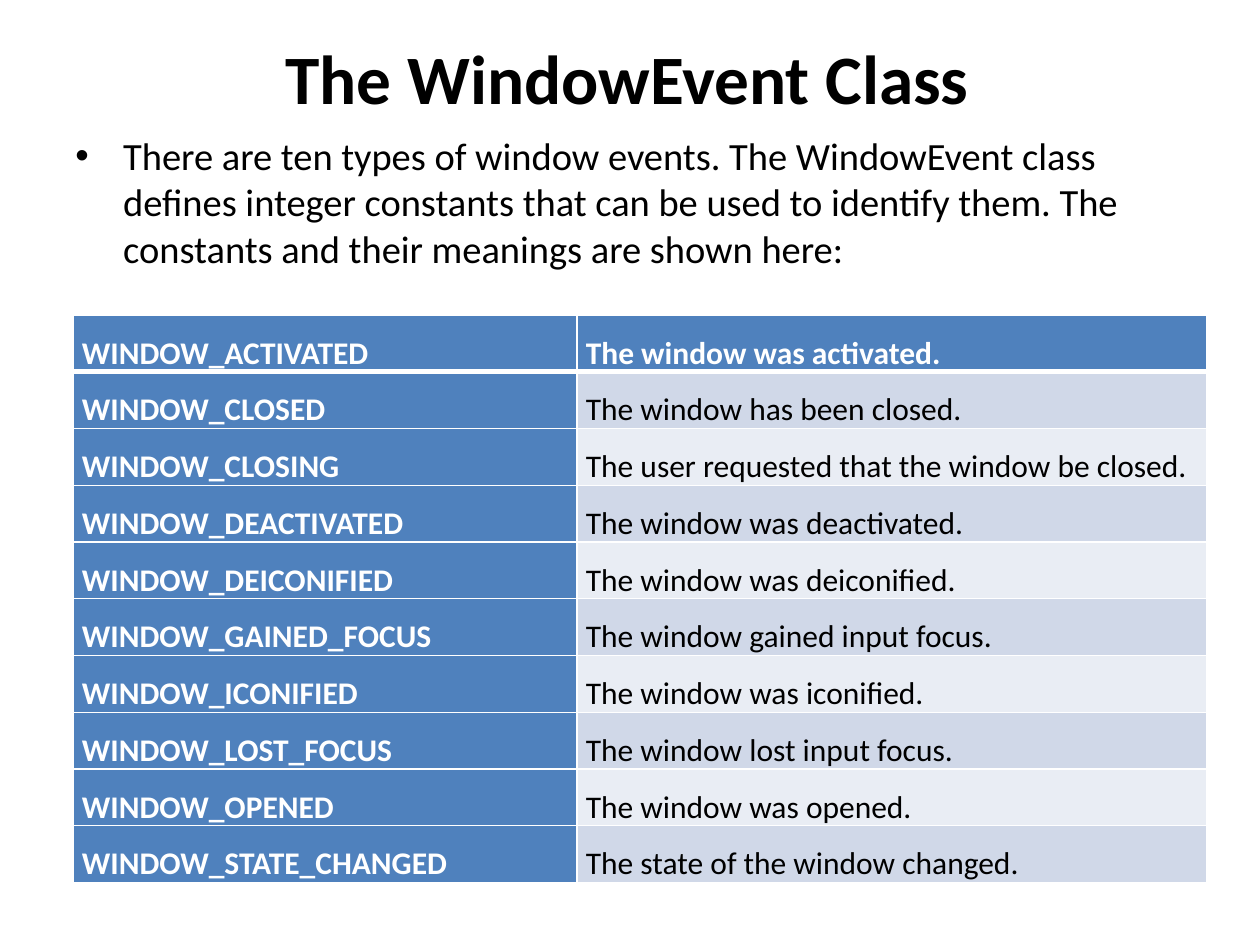
from lxml import etree
from pptx import Presentation
from pptx.dml.color import RGBColor
from pptx.enum.text import MSO_ANCHOR, MSO_AUTO_SIZE, PP_ALIGN
from pptx.oxml.ns import qn
from pptx.util import Inches, Pt

COLORS = {"black": "000000", "white": "FFFFFF", "blue": "4F81BD",
          "band_dark": "D0D8E8", "band_light": "E9EDF4"}

EVENTS = [
    ("WINDOW_ACTIVATED", "The window was activated."),
    ("WINDOW_CLOSED", "The window has been closed."),
    ("WINDOW_CLOSING", "The user requested that the window be closed."),
    ("WINDOW_DEACTIVATED", "The window was deactivated."),
    ("WINDOW_DEICONIFIED", "The window was deiconified."),
    ("WINDOW_GAINED_FOCUS", "The window gained input focus."),
    ("WINDOW_ICONIFIED", "The window was iconified."),
    ("WINDOW_LOST_FOCUS", "The window lost input focus."),
    ("WINDOW_OPENED", "The window was opened."),
    ("WINDOW_STATE_CHANGED", "The state of the window changed."),
]


def add_span(para, text, size, color, bold=False):
    span = para.add_run()
    span.text = text
    span.font.name = "Calibri"
    span.font.size = Pt(size)
    span.font.bold = bold
    span.font.color.rgb = RGBColor.from_string(COLORS[color])


def add_border(cell, side, width):
    line = etree.SubElement(cell._tc.get_or_add_tcPr(), qn(f"a:{side}"), w=str(Pt(width)))
    fill = etree.SubElement(line, qn("a:solidFill"))
    etree.SubElement(fill, qn("a:srgbClr"), val=COLORS["white"])


deck = Presentation()
deck.slide_width, deck.slide_height = Inches(10), Inches(7.5)
page = deck.slides.add_slide(deck.slide_layouts[5])

# Title
title = page.shapes.title
title.left, title.top = Inches(0.5), Inches(0.3)
title.width, title.height = Inches(9.08), Inches(0.62)
title.text_frame.auto_size = MSO_AUTO_SIZE.NONE
title.text_frame.vertical_anchor = MSO_ANCHOR.MIDDLE
para = title.text_frame.paragraphs[0]
para.alignment = PP_ALIGN.CENTER
add_span(para, "The WindowEvent Class ", 39.6, "black", bold=True)

# Introductory bullet
box = page.shapes.add_textbox(Inches(0.5), Inches(1), Inches(9), Inches(4.95))
box.text_frame.word_wrap = True
para = box.text_frame.paragraphs[0]
props = para._p.get_or_add_pPr()
props.set("marL", str(Inches(0.38)))
props.set("indent", str(Inches(-0.38)))
etree.SubElement(props, qn("a:buFont"), typeface="Arial")
etree.SubElement(props, qn("a:buChar"), char="•")
add_span(para, "There are ten types of window events. The WindowEvent class defines "
         "integer constants that can be used to identify them. The constants and "
         "their meanings are shown here:", 22, "black")

# Table of event constants
table = page.shapes.add_table(len(EVENTS), 2, Inches(0.58), Inches(2.5),
                              Inches(9), Inches(4.5)).table
table.first_col = True
table.columns[0].width, table.columns[1].width = Inches(4), Inches(5)
for row, event in enumerate(EVENTS):
    table.rows[row].height = Inches(0.45)
    for column, text in enumerate(event):
        cell = table.cell(row, column)
        cell.margin_left = cell.margin_right = Inches(0.07)
        cell.margin_top = cell.margin_bottom = 0
        strong = row == 0 or column == 0
        para = cell.text_frame.paragraphs[0]
        para.alignment = PP_ALIGN.JUSTIFY
        para.line_spacing = 1.5
        add_span(para, text, 18, "white" if strong else "black", bold=strong)

        # Borders come before the fill in the cell properties
        for side in ("lnL", "lnR", "lnT", "lnB"):
            header_rule = (row, side) in ((0, "lnB"), (1, "lnT"))
            add_border(cell, side, 3 if header_rule else 1)
        band = "band_dark" if row % 2 else "band_light"
        cell.fill.solid()
        cell.fill.fore_color.rgb = RGBColor.from_string(COLORS["blue" if strong else band])

deck.save("out.pptx")
